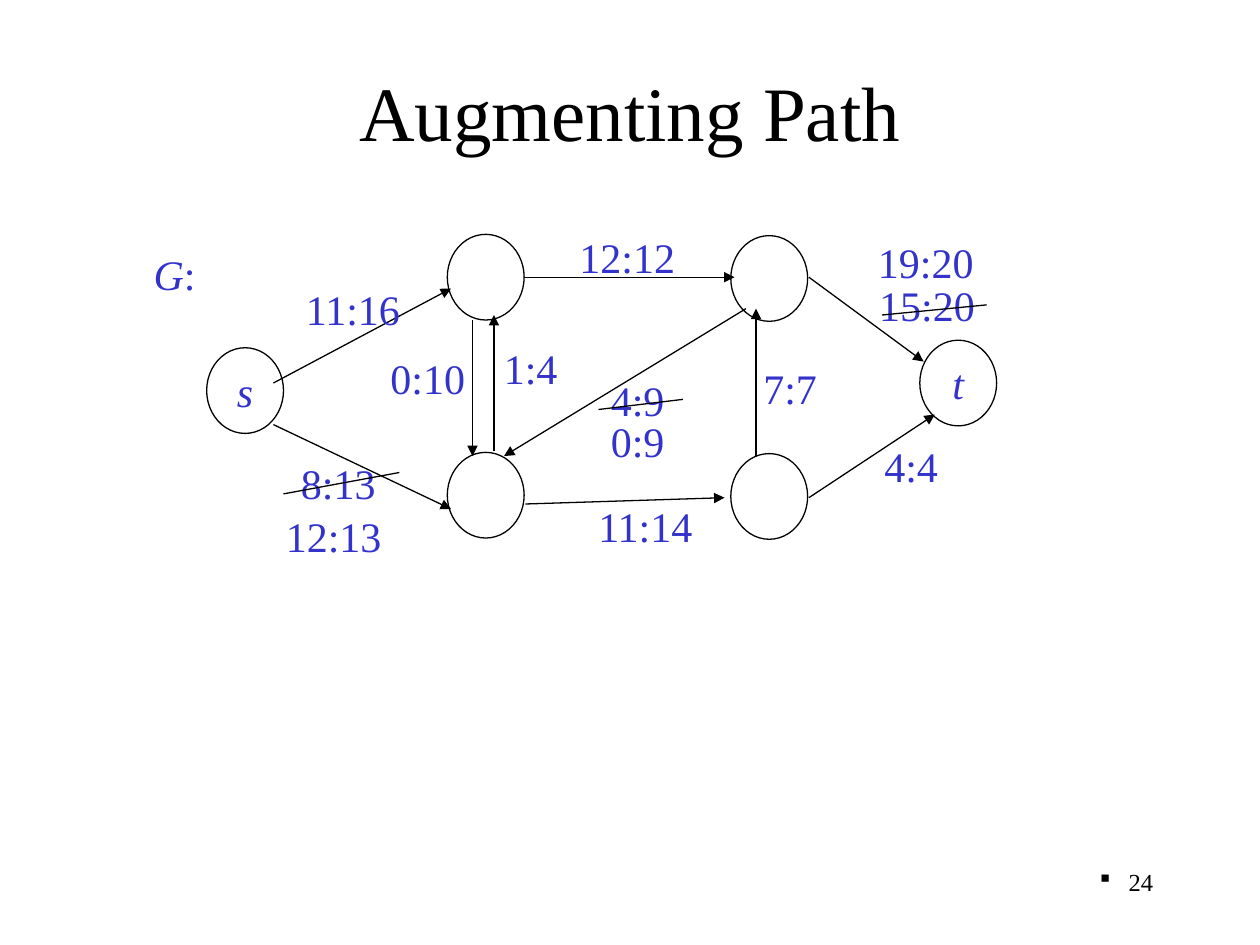
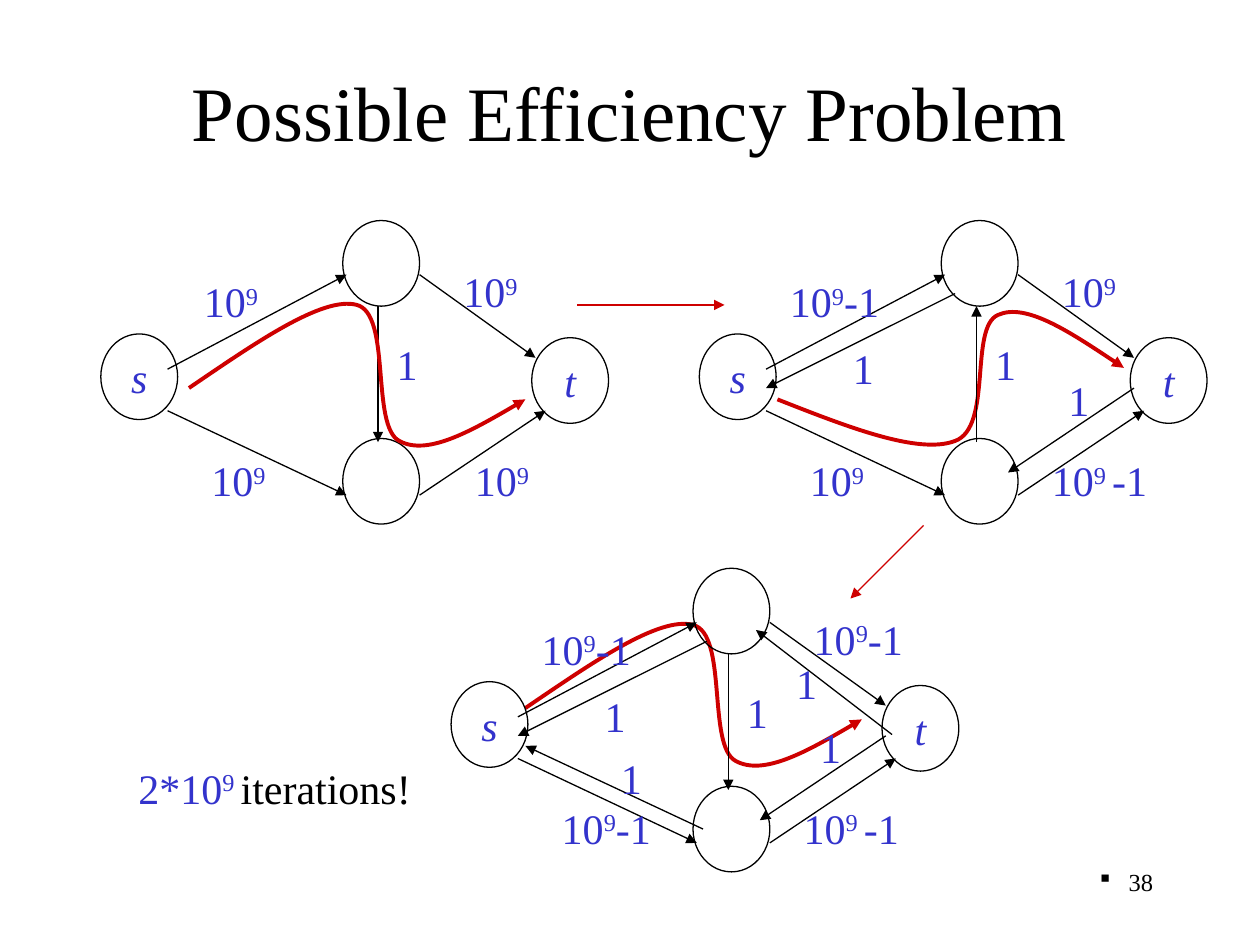
from dataclasses import dataclass

from lxml.etree import SubElement
from pptx import Presentation
from pptx.dml.color import RGBColor
from pptx.enum.shapes import MSO_CONNECTOR, MSO_SHAPE
from pptx.enum.text import MSO_ANCHOR, MSO_AUTO_SIZE, PP_ALIGN
from pptx.oxml.ns import qn
from pptx.util import Cm, Pt

BLACK, BLUE, RED = "000000", "3333CC", "CE0000"
FONT = "Times New Roman"
NODE_WIDTH, NODE_HEIGHT = 0.61, 0.68
LABEL_SIZE, LABEL_HEIGHT = 24, 0.5
# Glyph widths in ems; digits are half an em
GLYPHS = {":": 0.28, "-": 0.33, " ": 0.25, "G": 0.72}


def length(inches):
    return Cm(inches * 2.54)


def color(value):
    return RGBColor.from_string(value)


@dataclass
class Span:
    text: str
    color: str = BLUE
    italic: bool = False
    raised: bool = False

    def width(self):
        ems = sum(GLYPHS.get(glyph, 0.5) for glyph in self.text)
        return ems * LABEL_SIZE / 72 * (0.66 if self.raised else 1)


TEN = Span("10")
POWER = [TEN, Span("9", raised=True)]
POWER_LESS = POWER + [Span("-1")]
POWER_SPACED = [TEN, Span("9 ", raised=True), Span("-1")]
ONE = [Span("1")]


class Deck:
    def __init__(self):
        self.deck = Presentation()
        self.deck.slide_width, self.deck.slide_height = Cm(25.4), Cm(19.05)
        self.origin = (0, 0)

    def at(self, x, y):
        return length(x + self.origin[0]), length(y + self.origin[1])

    def add_span(self, para, span, size=LABEL_SIZE):
        run = para.add_run()
        run.text = span.text
        run.font.name, run.font.size = FONT, Pt(size)
        run.font.italic = span.italic
        run.font.color.rgb = color(span.color)
        if span.raised:
            run.font._element.set("baseline", "30000")

    def page(self, title, number):
        self.origin = (0, 0)
        self.slide = self.deck.slides.add_slide(self.deck.slide_layouts[5])
        self.shapes = self.slide.shapes
        # Page number with a square bullet
        box = self.shapes.add_textbox(*self.at(7.17, 6.83), length(2.08), length(0.5))
        box.text_frame.word_wrap = True
        para = box.text_frame.paragraphs[0]
        para.alignment = PP_ALIGN.RIGHT
        self.add_span(para, Span(number, BLACK), 14)
        style = para._p.get_or_add_pPr()
        style.set("marL", str(length(0.23)))
        style.set("indent", str(-length(0.23)))
        SubElement(style, qn("a:buFont"), typeface="Wingdings")
        SubElement(style, qn("a:buChar"), char="§")
        # Title
        box = self.shapes.title
        box.left, box.top = self.at(0.75, 0.25)
        box.width, box.height = length(8.5), length(1.25)
        frame = box.text_frame
        frame.vertical_anchor = MSO_ANCHOR.MIDDLE
        frame.auto_size = MSO_AUTO_SIZE.NONE
        frame.paragraphs[0].alignment = PP_ALIGN.CENTER
        self.add_span(frame.paragraphs[0], Span(title, BLACK), 44)

    def node(self, x, y, name=""):
        shape = self.shapes.add_shape(
            MSO_SHAPE.OVAL, *self.at(x, y), length(NODE_WIDTH), length(NODE_HEIGHT))
        shape.shadow.inherit = False
        shape.fill.background()
        self.outline(shape, BLACK, 0.75)
        if name:
            frame = shape.text_frame
            frame.word_wrap = False
            frame.margin_left = frame.margin_right = 0
            frame.margin_top = frame.margin_bottom = 0
            frame.vertical_anchor = MSO_ANCHOR.MIDDLE
            frame.paragraphs[0].alignment = PP_ALIGN.CENTER
            self.add_span(frame.paragraphs[0], Span(name, italic=True))

    def outline(self, shape, tone, weight, arrow=False):
        shape.line.color.rgb = color(tone)
        shape.line.width = Pt(weight)
        if arrow:
            line = shape.element.spPr.find(qn("a:ln"))
            SubElement(line, qn("a:tailEnd"), type="triangle")

    def edge(self, start, end, tone=BLACK, arrow=True):
        line = self.shapes.add_connector(
            MSO_CONNECTOR.STRAIGHT, *self.at(*start), *self.at(*end))
        self.outline(line, tone, 0.75, arrow)
        SubElement(line.element.spPr, qn("a:effectLst"))

    def label(self, x, y, spans, width=None):
        width = width or 0.2 + sum(span.width() for span in spans)
        box = self.shapes.add_textbox(
            *self.at(x, y), length(width), length(LABEL_HEIGHT))
        frame = box.text_frame
        frame.word_wrap = False
        frame.auto_size = MSO_AUTO_SIZE.SHAPE_TO_FIT_TEXT
        for span in spans:
            self.add_span(frame.paragraphs[0], span)

    def flow(self, points):
        """Red arrow along Bezier curves: a start, then three points a curve."""
        start, *rest = [self.at(*point) for point in points]
        builder = self.shapes.build_freeform(*start)
        builder.add_line_segments(rest, close=False)
        shape = builder.convert_to_shape()
        shape.shadow.inherit = False
        shape.fill.background()
        self.outline(shape, RED, 2.25, arrow=True)
        # Turn every three line segments into one cubic curve
        route = next(shape.element.iter(qn("a:path")))
        steps = route.findall(qn("a:lnTo"))
        for first in range(0, len(steps), 3):
            curve = SubElement(route, qn("a:cubicBezTo"))
            for step in steps[first:first + 3]:
                curve.append(step[0])
                route.remove(step)

    def network(self, origin, labels, upward=False, back=()):
        """Four-node network with edge labels; back lists the return edges."""
        self.origin = origin
        for node in [(0.8, 2.65, "s"), (2.72, 1.75), (2.72, 3.48), (4.22, 2.68, "t")]:
            self.node(*node)
        for start, end in [((1.33, 2.93), (2.75, 2.18)), ((1.33, 3.26), (2.75, 3.93)),
                           ((3.33, 3.93), (4.33, 3.26)), ((3.33, 2.18), (4.25, 2.84))]:
            self.edge(start, end)
        middle = [(3, 2.43), (3, 3.51)]
        self.edge(*(reversed(middle) if upward else middle))
        for place, spans in labels:
            self.label(*place, spans)
        for start, end, place in back:
            self.edge(start, end)
            self.label(*place, ONE)
        self.origin = (0, 0)


deck = Deck()

# Slide 1: augmenting path
deck.page("Augmenting Path", "24")
for node in [(1.64, 2.76, "s"), (3.55, 1.86), (3.55, 3.59),
             (5.8, 1.87), (5.8, 3.6), (7.3, 2.7, "t")]:
    deck.node(*node)
for start, end in [
    ((2.17, 3.04), (3.58, 2.29)), ((2.17, 3.37), (3.58, 4.04)),
    ((4.17, 4), (5.75, 3.95)), ((6.42, 3.95), (7.42, 3.29)),
    ((4.17, 2.2), (5.83, 2.2)), ((6.42, 2.2), (7.33, 2.87)),
    ((3.92, 3.58), (3.92, 2.5)), ((5.92, 2.45), (4, 3.62)),
    ((6, 3.62), (6, 2.45)), ((3.75, 2.54), (3.75, 3.62)),
]:
    deck.edge(start, end)
for x, y, flow in [
    (2.33, 2.2, "11:16"), (3, 2.75, "0:10"), (2.29, 3.58, "8:13"),
    (3.9, 2.67, "1:4"), (4.75, 2.92, "4:9"), (4.5, 1.79, "12:12"),
    (5.96, 2.83, "7:7"), (6.88, 2.17, "15:20"), (6.92, 3.45, "4:4"),
    (4.65, 3.92, "11:14"), (2.17, 4, "12:13"), (4.75, 3.25, "0:9"),
    (6.87, 1.83, "19:20"),
]:
    deck.label(x, y, [Span(flow)])
deck.label(1.12, 1.92, [Span("G", italic=True), Span(":")])
# Strokes through the replaced flows
for start, end in [((2.25, 3.92), (3.17, 3.75)), ((4.75, 3.25), (5.42, 3.17)),
                   ((7, 2.5), (7.83, 2.42))]:
    deck.edge(start, end, arrow=False)

# Slide 2: three rounds of a slow augmentation
deck.page("Possible Efficiency Problem", "38")
MIDDLE, TOP_RIGHT, BOTTOM_LEFT = (3.05, 2.64), (3.58, 2.06), (1.58, 3.56)
BACK_TOP_LEFT = ((2.83, 2.33), (1.33, 3.08), (1.92, 2.67))
BACK_BOTTOM_RIGHT = ((4.25, 3.08), (3.25, 3.75), (3.63, 2.92))

deck.network((0, 0), [((1.52, 2.14), POWER), (MIDDLE, ONE), (TOP_RIGHT, POWER),
                      (BOTTOM_LEFT, POWER), ((3.67, 3.56), POWER)])

# Augmenting flows
DOWNWARD = [(1.5, 3.08), (2.03, 2.72), (2.56, 2.35), (2.83, 2.42), (3.11, 2.49),
            (2.94, 3.38), (3.17, 3.5), (3.39, 3.62), (3.78, 3.4), (4.17, 3.17)]
UPWARD = [(6.17, 3.17), (6.73, 3.39), (7.29, 3.61), (7.58, 3.5), (7.88, 3.39),
          (7.69, 2.6), (7.92, 2.5), (8.14, 2.4), (8.53, 2.66), (8.92, 2.92)]
deck.flow(DOWNWARD)
deck.flow(UPWARD)
deck.flow([(x + 2.67, y + 2.54) for x, y in DOWNWARD])
deck.label(1, 6, [Span("2*10"), Span("9 ", raised=True),
                  Span("iterations!", BLACK)], width=2.38)

deck.network((4.75, 0), [((1.42, 2.14), POWER_LESS), (MIDDLE, ONE), (TOP_RIGHT, POWER),
                         (BOTTOM_LEFT, POWER), ((3.5, 3.56), POWER_SPACED)],
             upward=True, back=[BACK_TOP_LEFT, BACK_BOTTOM_RIGHT])
deck.network((2.78, 2.76), [((1.42, 2.14), POWER_LESS), (MIDDLE, ONE),
                            (TOP_RIGHT, POWER_LESS), (BOTTOM_LEFT, POWER_LESS),
                            ((3.5, 3.56), POWER_SPACED)],
             back=[BACK_TOP_LEFT, BACK_BOTTOM_RIGHT,
                   ((2.8, 3.82), (1.39, 3.16), (2.05, 3.16)),
                   ((4.3, 3.07), (3.22, 2.24), (3.44, 2.41))])

# Steps from round to round
deck.edge((4.58, 2.42), (5.75, 2.42), RED)
deck.edge((7.33, 4.17), (6.75, 4.75), RED)

deck.deck.save("out.pptx")
